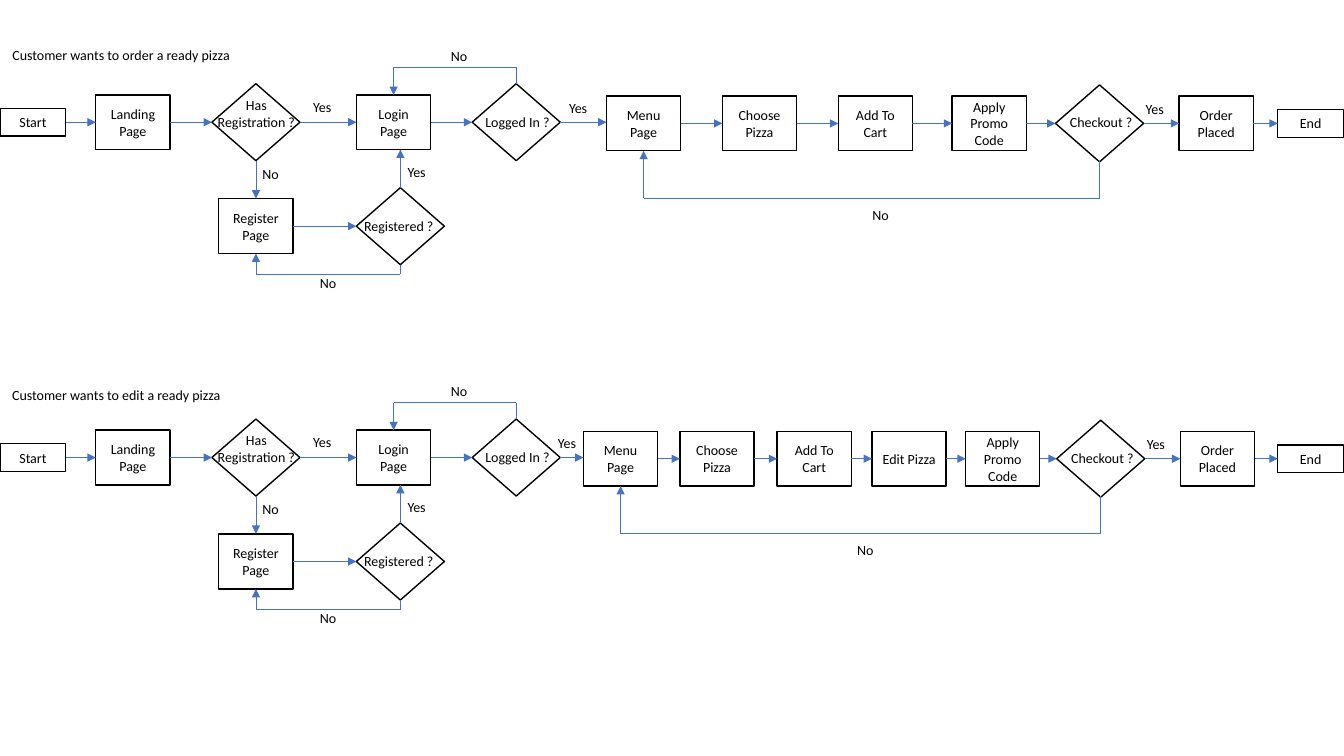
from itertools import pairwise

from lxml import etree
from pptx import Presentation
from pptx.dml.color import RGBColor
from pptx.enum.shapes import MSO_CONNECTOR, MSO_SHAPE
from pptx.enum.text import MSO_ANCHOR, MSO_AUTO_SIZE, PP_ALIGN
from pptx.oxml.ns import qn
from pptx.util import Cm, Pt

STRAIGHT = MSO_CONNECTOR.STRAIGHT
RECTANGLE, DIAMOND = MSO_SHAPE.RECTANGLE, MSO_SHAPE.DIAMOND
MIDDLE, CENTER = MSO_ANCHOR.MIDDLE, PP_ALIGN.CENTER
NO_AUTOFIT, GROW = MSO_AUTO_SIZE.NONE, MSO_AUTO_SIZE.SHAPE_TO_FIT_TEXT
COLORS = {"fill": "FFFFFF", "ink": "000000", "arrow": "4472C4"}

# Sizes and rows in centimetres; rows are measured from the top of a flow
SIZES = {"terminal": (1.66, 0.7), "step": (1.87, 1.38), "decision": (2.22, 1.94)}
ENTRY_Y, ORDER_Y, REGISTER_Y = 3.08, 3.11, 5.7
FLOW_PITCH = 8.45
REGISTER_X, LOGIN_X, REGISTERED_X, LOGGED_IN_X = 6.45, 9.92, 10.09, 13.01
YES_WIDTH, NO_WIDTH, LINE_HEIGHT = 0.99, 0.94, 0.69

# Nodes: text, kind, centre x, centre y
entry_nodes = [
    ("Start", "terminal", 0.83, ENTRY_Y),
    ("Landing Page", "step", 3.35, ENTRY_Y),
    ("", "decision", REGISTER_X, ENTRY_Y),
    ("Login Page", "step", LOGIN_X, ENTRY_Y),
    ("", "decision", LOGGED_IN_X, ENTRY_Y),
]
register_nodes = [
    ("Register Page", "step", REGISTER_X, REGISTER_Y),
    ("", "decision", REGISTERED_X, REGISTER_Y),
]
# Labels: text, centre x, centre y, width
entry_labels = [
    ("Has\nRegistration ?", 6.46, 2.87, 2.51),
    ("Logged In ?", 13.04, ENTRY_Y, 2.16),
    ("Registered ?", 10.05, REGISTER_Y, 2.31),
    ("Yes", 8.12, 2.7, YES_WIDTH),
    ("Yes", 10.5, 4.33, YES_WIDTH),
    ("No", 6.82, 4.38, NO_WIDTH),
    ("No", 8.27, 7.13, NO_WIDTH),
    ("No", 11.57, 1.41, NO_WIDTH),
]
# Routes end in an arrowhead
entry_routes = [
    [(REGISTER_X, 4.05), (REGISTER_X, 5.0)],
    [(REGISTERED_X, 4.74), (REGISTERED_X, 3.77)],
    [(REGISTERED_X, 6.67), (REGISTERED_X, 6.91), (REGISTER_X, 6.91), (REGISTER_X, 6.39)],
    [(LOGGED_IN_X, 2.11), (LOGGED_IN_X, 1.7), (LOGIN_X, 1.7), (LOGIN_X, 2.39)],
]
flows = [
    {
        "title": ("Customer wants to order a ready pizza", 3.05, 1.38, 6.1),
        "steps": [("Menu Page", 16.22), ("Choose Pizza", 19.14), ("Add To Cart", 22.06),
                  ("Apply Promo Code", 24.93)],
        "checkout": 27.71, "placed": 30.65, "yes": 14.57, "no": 22.19,
    },
    {
        "title": ("Customer wants to edit a ready pizza", 2.93, 1.52, 5.87),
        "steps": [("Menu Page", 15.64), ("Choose Pizza", 18.07), ("Add To Cart", 20.52),
                  ("Edit Pizza", 22.91), ("Apply Promo Code", 25.27)],
        "checkout": 27.74, "placed": 30.68, "yes": 14.29, "no": 21.81,
    },
]


def write_text(frame, text, wrap, fit):
    frame.text = text
    frame.word_wrap = wrap
    frame.auto_size = fit
    for paragraph in frame.paragraphs:
        paragraph.alignment = CENTER
        for span in paragraph.runs:
            span.font.size = Pt(10)
            span.font.name = "Calibri"
            span.font.color.rgb = RGBColor.from_string(COLORS["ink"])


def add_line(page, start, end, top, arrow):
    line = page.shapes.add_connector(
        STRAIGHT, Cm(start[0]), Cm(top + start[1]), Cm(end[0]), Cm(top + end[1]))
    line.line.color.rgb = RGBColor.from_string(COLORS["arrow"])
    line.line.width = Pt(0.5)
    if arrow:
        etree.SubElement(line.line._get_or_add_ln(), qn("a:tailEnd"), type="triangle")
    etree.SubElement(line._element.spPr, qn("a:effectLst"))


deck = Presentation()
deck.slide_width, deck.slide_height = Cm(33.87), Cm(19.05)
page = deck.slides.add_slide(deck.slide_layouts[6])

for index, flow in enumerate(flows):
    top = index * FLOW_PITCH
    menu_x, checkout_x = flow["steps"][0][1], flow["checkout"]
    order_nodes = [(text, "step", x, ORDER_Y) for text, x in flow["steps"]] + [
        ("", "decision", checkout_x, ORDER_Y),
        ("Order Placed", "step", flow["placed"], ORDER_Y),
        ("End", "terminal", 33.03, ORDER_Y),
    ]
    main_nodes = entry_nodes + order_nodes

    # Boxes and diamonds
    for text, kind, x, y in main_nodes + register_nodes:
        width, height = SIZES[kind]
        box = page.shapes.add_shape(
            DIAMOND if kind == "decision" else RECTANGLE,
            Cm(x - width / 2), Cm(top + y - height / 2), Cm(width), Cm(height))
        box.shadow.inherit = False
        box.fill.solid()
        box.fill.fore_color.rgb = RGBColor.from_string(COLORS["fill"])
        box.line.color.rgb = RGBColor.from_string(COLORS["ink"])
        box.line.width = Pt(1)
        if text:
            write_text(box.text_frame, text, True, NO_AUTOFIT)
            box.text_frame.vertical_anchor = MIDDLE

    # Arrows between neighbours
    for row in (main_nodes, register_nodes):
        for (_, kind, x, y), (_, next_kind, next_x, _) in pairwise(row):
            add_line(page, (x + SIZES[kind][0] / 2, y),
                     (next_x - SIZES[next_kind][0] / 2, y), top, True)

    # Bent routes
    checkout_route = [(checkout_x, 4.05), (checkout_x, 5.0), (menu_x, 5.0), (menu_x, 3.8)]
    for route in entry_routes + [checkout_route]:
        for start, end in pairwise(route):
            add_line(page, start, end, top, end == route[-1])

    # Title, questions and answers
    order_labels = [
        flow["title"],
        ("Checkout ?", checkout_x + 0.04, 3.09, 2.11),
        ("Yes", flow["yes"], 2.73, YES_WIDTH),
        ("Yes", checkout_x + 1.39, 2.75, YES_WIDTH),
        ("No", flow["no"], 5.42, NO_WIDTH),
    ]
    for text, x, y, width in entry_labels + order_labels:
        height = 1.12 if "\n" in text else LINE_HEIGHT
        box = page.shapes.add_textbox(
            Cm(x - width / 2), Cm(top + y - height / 2), Cm(width), Cm(height))
        write_text(box.text_frame, text, False, GROW)

deck.save("out.pptx")
